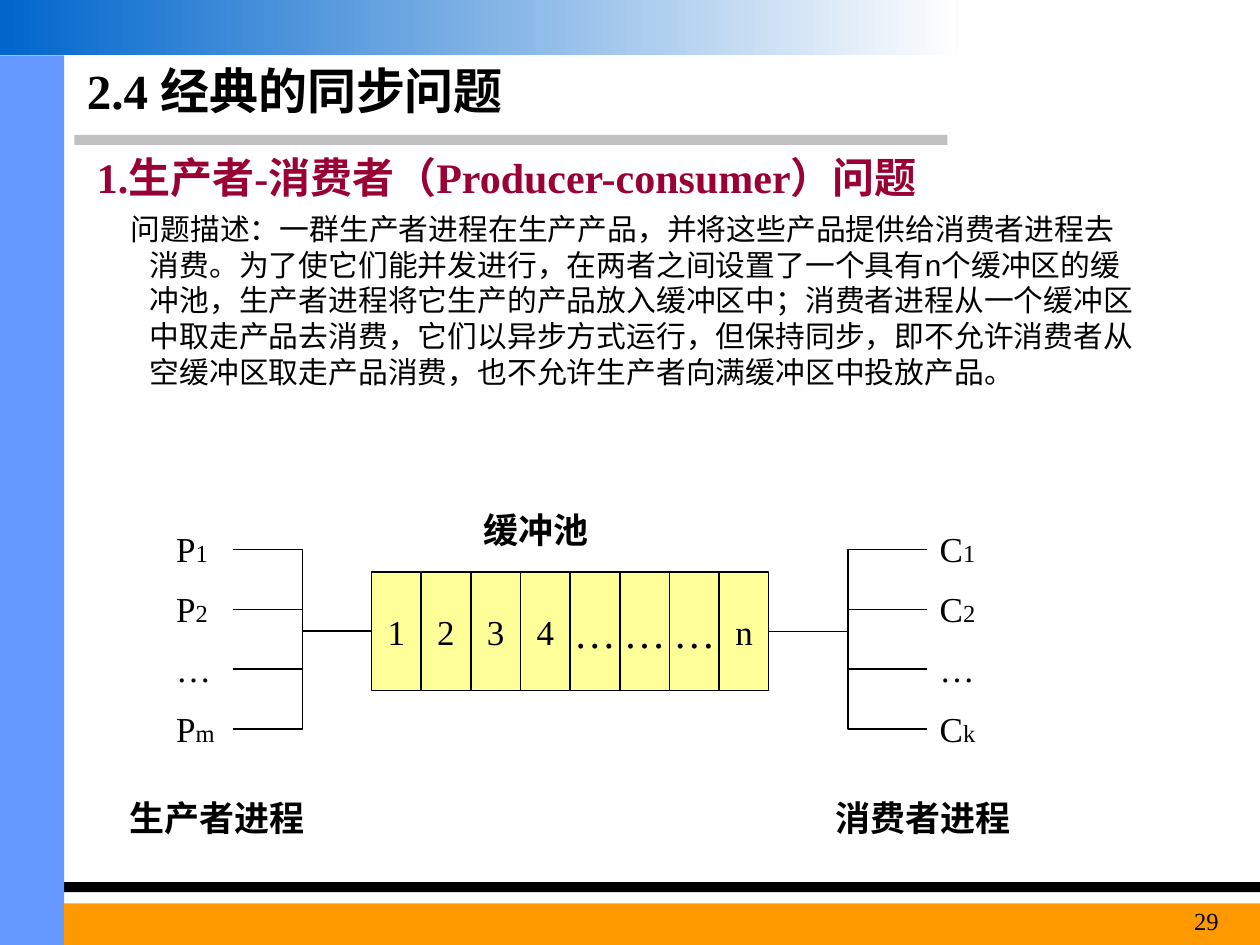
from pptx import Presentation
from pptx.dml.color import RGBColor
from pptx.enum.shapes import MSO_CONNECTOR, MSO_SHAPE
from pptx.enum.text import MSO_ANCHOR, MSO_AUTO_SIZE, PP_ALIGN
from pptx.oxml.ns import qn
from pptx.util import Inches, Pt
from lxml import etree

BLACK = RGBColor(0x00, 0x00, 0x00)
GRAY = RGBColor(0xC0, 0xC0, 0xC0)
SKY = RGBColor(0x66, 0x99, 0xFF)
BLUE = RGBColor(0x00, 0x66, 0xCC)
WHITE = RGBColor(0xFE, 0xFE, 0xFE)
ORANGE = RGBColor(0xFF, 0x99, 0x00)
YELLOW = RGBColor(0xFF, 0xFF, 0x99)
WINE = RGBColor(0x99, 0x00, 0x33)
RECT = MSO_SHAPE.RECTANGLE
ELBOW = MSO_CONNECTOR.ELBOW
MIDDLE = MSO_ANCHOR.MIDDLE
FIXED = MSO_AUTO_SIZE.NONE
LEFT, CENTER, RIGHT = PP_ALIGN.LEFT, PP_ALIGN.CENTER, PP_ALIGN.RIGHT
SERIF = "Times New Roman"

STORY = (
    "问题描述：一群生产者进程在生产产品，并将这些产品提供给消费者进程去消费。"
    "为了使它们能并发进行，在两者之间设置了一个具有n个缓冲区的缓冲池，"
    "生产者进程将它生产的产品放入缓冲区中；消费者进程从一个缓冲区中取走产品去消费，"
    "它们以异步方式运行，但保持同步，即不允许消费者从空缓冲区取走产品消费，"
    "也不允许生产者向满缓冲区中投放产品。"
)


def style(para, size, color=BLACK, bold=False, face=SERIF, align=LEFT):
    para.alignment = align
    font = para.font
    font.name = face
    font.size = Pt(size)
    font.bold = bold
    font.color.rgb = color


def add_bar(slide, left, top, width, height, color):
    bar = slide.shapes.add_shape(
        RECT, Inches(left), Inches(top), Inches(width), Inches(height))
    bar.shadow.inherit = False
    bar.fill.solid()
    bar.fill.fore_color.rgb = color
    bar.line.fill.background()
    return bar


def add_fade(slide):
    band = add_bar(slide, 0, 0, 7.6, 0.44, BLUE)
    band.fill.gradient()
    band.fill.gradient_angle = 0
    for stop, color in zip(band.fill.gradient_stops, (BLUE, WHITE)):
        stop.color.rgb = color


def add_title(slide, text):
    title = slide.shapes.title
    title.left, title.top = Inches(0.59), Inches(0.44)
    title.width, title.height = Inches(6.85), Inches(0.55)
    frame = title.text_frame
    frame.text = text
    frame.auto_size = FIXED
    frame.vertical_anchor = MIDDLE
    style(frame.paragraphs[0], 28, bold=True)


def add_text(slide, left, top, width, height, text, size, **look):
    box = slide.shapes.add_textbox(
        Inches(left), Inches(top), Inches(width), Inches(height))
    box.text_frame.word_wrap = True
    para = box.text_frame.paragraphs[0]
    para.text = text
    style(para, size, **look)
    return box


def add_story(slide):
    box = add_text(slide, 0.51, 1.62, 8.66, 1.97, STORY, 17, face="Arial")
    para = box.text_frame.paragraphs[0]
    para.line_spacing = Pt(20.5)
    props = para._p.get_or_add_pPr()
    props.set("marL", str(Inches(0.58)))
    props.set("indent", str(Inches(-0.15)))


def add_cell(slide, left, text):
    cell = add_bar(slide, left, 4.54, 0.39, 0.94, YELLOW)
    cell.line.color.rgb = BLACK
    cell.line.width = Pt(0.75)
    frame = cell.text_frame
    frame.word_wrap = False
    frame.vertical_anchor = MIDDLE
    para = frame.paragraphs[0]
    para.text = text
    style(para, 24 if text == "…" else 20, align=CENTER)
    return cell


def add_label(slide, left, top, name, sub):
    box = add_text(slide, left, top, 0.55, 0.44, name, 20)
    if sub:
        run = box.text_frame.paragraphs[0].add_run()
        run.text = sub
        run.font.size = Pt(14)
    return box


def join(slide, start, end):
    wire = slide.shapes.add_connector(ELBOW, 0, 0, 0, 0)
    wire.begin_connect(start, 3)
    wire.end_connect(end, 1)
    wire.line.color.rgb = BLACK
    wire.line.width = Pt(0.75)
    etree.SubElement(wire._element.spPr, qn("a:effectLst"))


def add_group(slide, left, name, last):
    parts = [(name, "1"), (name, "2"), ("…", ""), (name, last)]
    return [add_label(slide, left, 4.14 + 0.475 * i, *part)
            for i, part in enumerate(parts)]


def main():
    deck = Presentation()
    deck.slide_width, deck.slide_height = Inches(10), Inches(7.5)
    slide = deck.slides.add_slide(deck.slide_layouts[5])

    add_bar(slide, 0.59, 1.07, 6.93, 0.08, GRAY)
    add_bar(slide, 0, 7, 10, 0.08, BLACK)
    add_bar(slide, 0, 0.44, 0.51, 7.06, SKY)
    add_bar(slide, 0.51, 7.17, 9.49, 0.33, ORANGE)
    add_fade(slide)

    add_title(slide, "2.4 经典的同步问题")
    add_story(slide)
    add_text(slide, 0.67, 1.15, 7.24, 0.5,
             "1.生产者-消费者（Producer-consumer）问题", 24,
             color=WINE, bold=True)

    cells = [add_cell(slide, 2.95 + 2.76 / 7 * i, text)
             for i, text in enumerate("1234………n")]
    for maker in add_group(slide, 1.3, "P", "m"):
        join(slide, maker, cells[0])
    for user in add_group(slide, 7.36, "C", "k"):
        join(slide, cells[-1], user)

    for left, top, text in ((3.43, 3.99, "缓冲池"),
                            (0.9, 6.27, "生产者进程"),
                            (6.5, 6.27, "消费者进程")):
        add_text(slide, left, top, 1.65, 0.44, text, 20,
                 bold=True, align=CENTER)
    add_text(slide, 8.86, 7.14, 0.91, 0.36, "29", 14, align=RIGHT)
    deck.save("out.pptx")


if __name__ == "__main__":
    main()
